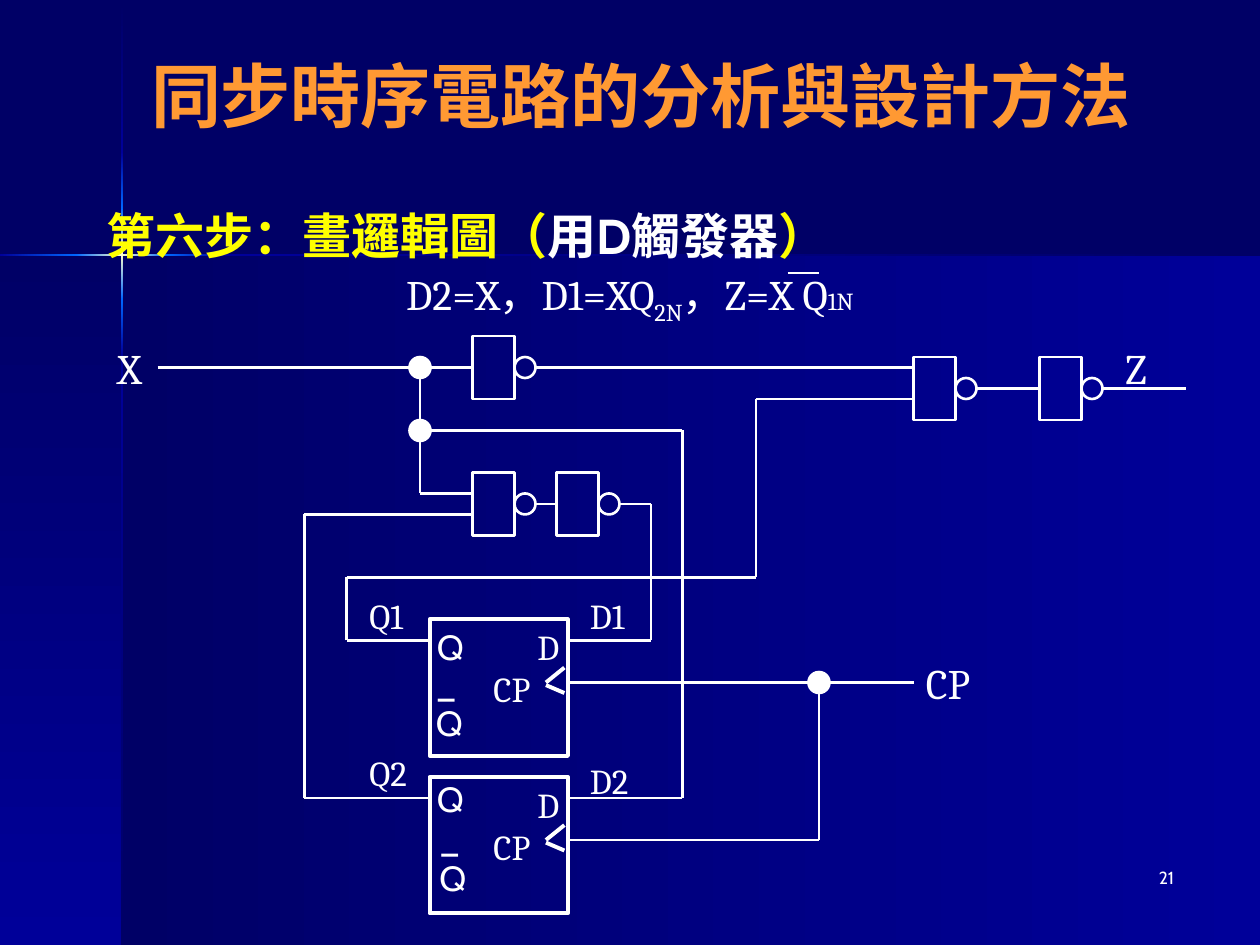
from dataclasses import dataclass
from itertools import pairwise

import pptx
import pptx.dml.color
import pptx.enum.shapes
import pptx.enum.text
import pptx.oxml.ns
import pptx.util
from lxml import etree

Pt = pptx.util.Pt
RGB = pptx.dml.color.RGBColor.from_string
qn = pptx.oxml.ns.qn
Align = pptx.enum.text.PP_ALIGN
Anchor = pptx.enum.text.MSO_ANCHOR
Preset = pptx.enum.shapes.MSO_SHAPE


@dataclass(frozen=True)
class Theme:
    night: str = "000066"
    navy: str = "000099"
    azure: str = "0066FF"
    glow: str = "FFFFCC"
    orange: str = "FF9933"
    yellow: str = "FFFF00"
    white: str = "FFFFFF"
    sans: str = "Cabin"
    serif: str = "Cambria"
    title: int = 40
    heading: int = 28
    formula: int = 24
    label: int = 20
    small: int = 14
    number: int = 10
    wire: float = 1.5
    outline: float = 2.25
    cell: int = 6


THEME = Theme()


def add_text(slide, text, left, top, width, height, *, size, font=THEME.serif,
             color=THEME.white, bold=False, align=Align.LEFT, anchor=Anchor.TOP,
             wrap=True, side_inset=7.2, line_spacing=None):
    """Text is a string, or a list of (string, run overrides); newlines part paragraphs."""
    box = slide.shapes.add_textbox(Pt(left), Pt(top), Pt(width), Pt(height))
    frame = box.text_frame
    frame.word_wrap = wrap
    frame.vertical_anchor = anchor
    frame.margin_left = frame.margin_right = Pt(side_inset)
    pieces = [(text, {})] if isinstance(text, str) else text
    paragraph = frame.paragraphs[0]
    for piece, changes in pieces:
        for number, line in enumerate(piece.split("\n")):
            if number:
                paragraph = frame.add_paragraph()
            paragraph.alignment = align
            if line_spacing:
                paragraph.line_spacing = Pt(line_spacing)
            run = paragraph.add_run()
            run.text = line
            run.font.name = font
            run.font.bold = bold
            run.font.size = Pt(changes.get("size", size))
            run.font.color.rgb = RGB(changes.get("color", color))
            if "baseline" in changes:
                run._r.get_or_add_rPr().set("baseline", str(changes["baseline"] * 1000))


def add_outline(slide, preset, left, top, width, height, weight=THEME.wire, fill=None):
    shape = slide.shapes.add_shape(preset, Pt(left), Pt(top), Pt(width), Pt(height))
    shape.shadow.inherit = False
    if fill:
        shape.fill.solid()
        shape.fill.fore_color.rgb = RGB(fill)
    else:
        shape.fill.background()
    shape.line.color.rgb = RGB(THEME.white)
    shape.line.width = Pt(weight)
    return shape


def add_line(slide, start, end, weight=THEME.wire):
    line = slide.shapes.add_connector(pptx.enum.shapes.MSO_CONNECTOR.STRAIGHT,
                                      *(Pt(value) for value in (*start, *end)))
    line.line.color.rgb = RGB(THEME.white)
    line.line.width = Pt(weight)
    etree.SubElement(line._element.spPr, qn("a:effectLst"))
    return line


def add_gradient(slide, left, top, width, height, colors, downward):
    panel = slide.shapes.add_shape(Preset.RECTANGLE, Pt(left), Pt(top), Pt(width), Pt(height))
    panel.shadow.inherit = False
    panel.line.fill.background()
    panel.fill.gradient()
    panel.fill.gradient_angle = 270 if downward else 0
    stops = panel._element.spPr.find(".//" + qn("a:gsLst"))
    for stop in list(stops):
        stops.remove(stop)
    for number, color in enumerate(colors):
        stop = etree.SubElement(stops, qn("a:gs"), pos=str(100000 * number // (len(colors) - 1)))
        etree.SubElement(stop, qn("a:srgbClr"), val=color)


def draw_backdrop(slide, width, height):
    """Two shaded panels and a glowing cross where they meet."""
    t = THEME
    slide.background.fill.solid()
    slide.background.fill.fore_color.rgb = RGB(t.night)
    cross_x, cross_y, thickness = 69.5, 145.5, 1.5
    shade = (t.night, t.navy)
    add_gradient(slide, cross_x, cross_y, width - cross_x, height - cross_y, shade, False)
    add_gradient(slide, 0, cross_y, cross_x, height - cross_y, shade, True)
    beam = [(t.navy, t.azure), (t.azure, t.glow, t.azure), (t.azure, t.navy), (t.navy, t.night)]
    for (start, end), colors in zip(pairwise((1, 87, 119, 171, 203, height)), [shade, *beam]):
        add_gradient(slide, cross_x - 0.5, start, thickness, end - start, colors, True)
    for (start, end), colors in zip(pairwise((0, 43.5, 95.5, 127.5, width)), beam):
        add_gradient(slide, start, cross_y - 0.5, end - start, thickness, colors, False)


def draw_headings(slide, left, top, width):
    t = THEME
    add_text(slide, "同步時序電路的分析與設計方法", left, top, width, 60, size=t.title,
             font=t.sans, color=t.orange, bold=True, align=Align.CENTER, anchor=Anchor.MIDDLE)
    add_text(slide, [("第六步：畫邏輯圖（", {}), ("用D觸發器", {"color": t.white}), ("）", {})],
             left + 18, top + 90, width - 36, 42, size=t.heading, font=t.sans,
             color=t.yellow, bold=True)


def draw_formula(slide, left, top, width):
    add_text(slide, [("D2=X，D1=XQ", {}), ("2N", {"baseline": -25}), ("，Z=X Q", {}),
                     ("1N", {"size": THEME.small})],
             left, top, width, 36, size=THEME.formula, align=Align.CENTER)
    add_line(slide, (left + 396, top + 6), (left + 414, top + 6))


def draw_gate(slide, left, top):
    """Gate body with the inverting bubble on its output."""
    body = add_outline(slide, Preset.RECTANGLE, left, top, 24, 36)
    add_outline(slide, Preset.OVAL, left + 24, top + 12, 12, 12)
    return body


def draw_flip_flop(slide, left, top, q_top, q_bar):
    """q_bar is the offset of the inverted output's label."""
    t = THEME
    add_outline(slide, Preset.RECTANGLE, left - 0.5, top, 79, 78, t.outline)
    for start, end in (((66, 37.5), (76.5, 42)), ((76.5, 27.5), (66, 36))):
        add_line(slide, (left + start[0], top + start[1]), (left + end[0], top + end[1]), t.outline)
    add_text(slide, "D", left + 54, top, 30, 31, size=t.label)
    add_text(slide, "CP", left + 36, top + 24, 36, 31, size=t.label, side_inset=0)
    add_text(slide, "Q", left - 3.5, top + q_top, 34, 23, size=t.label, font=t.sans,
             line_spacing=15)
    add_text(slide, "—\nQ", left + q_bar[0], top + q_bar[1], 34, 38, size=t.label,
             font=t.sans, line_spacing=15)


def draw_circuit(slide, left, top):
    """Logic diagram laid out in grid cells counted from its top left corner."""
    def at(column, row):
        return left + column * THEME.cell, top + row * THEME.cell

    x_inverter, _, z_inverter, _, d1_inverter = [
        draw_gate(slide, *at(*cell)) for cell in ((35, 0), (77, 2), (89, 2), (35, 13), (43, 13))]
    draw_flip_flop(slide, *at(31, 27), q_top=9, q_bar=(-4, 37.5))
    draw_flip_flop(slide, *at(31, 42), q_top=6, q_bar=(-2, 36))

    for start, end, gate in (((5, 3), (35, 3), x_inverter),
                             ((83, 5), (89, 5), z_inverter),
                             ((41, 16), (43, 16), d1_inverter)):
        add_line(slide, at(*start), at(*end)).end_connect(gate, 1)

    wires = {
        "inverted X": [(41, 3), (77, 3)],
        "Z": [(95, 5), (103, 5)],
        "X": [(30, 3), (30, 15), (35, 15)],
        "D2": [(30, 9), (55, 9), (55, 44), (44, 44)],
        "D1": [(49, 16), (52, 16), (52, 29), (44, 29)],
        "Q1": [(31, 29), (23, 29), (23, 23), (62, 23), (62, 6), (77, 6)],
        "Q2": [(31, 44), (19, 44), (19, 17), (35, 17)],
        "CP": [(77, 33), (44, 33)],
        "CP branch": [(68, 33), (68, 48), (44, 48)],
    }
    for corners in wires.values():
        for start, end in pairwise(corners):
            add_line(slide, at(*start), at(*end))
    for junction in ((30, 3), (30, 9), (68, 33)):
        x, y = at(*junction)
        add_outline(slide, Preset.OVAL, x - 6, y - 6, 12, 12, fill=THEME.white)

    for signal, cell in (("Q1", (24, 24)), ("D1", (45, 24)), ("Q2", (24, 39)), ("D2", (45, 39.75))):
        add_text(slide, signal, *at(*cell), 40, 31, size=THEME.label, wrap=False)
    for terminal, cell in (("X", (0, 0)), ("Z", (96, 0)), ("CP", (77, 30))):
        add_text(slide, terminal, *at(*cell), 66, 36, size=THEME.formula)


def main():
    deck = pptx.Presentation()
    deck.slide_width, deck.slide_height = Pt(720), Pt(540)
    slide = deck.slides.add_slide(deck.slide_layouts[6])
    draw_backdrop(slide, 720, 540)
    draw_headings(slide, 36, 24, 660)
    draw_circuit(slide, 60, 192)
    draw_formula(slide, 54, 150, 612)
    add_text(slide, "21", 528, 492, 150, 36, size=THEME.number, font=THEME.sans,
             align=Align.RIGHT)
    deck.save("out.pptx")


if __name__ == "__main__":
    main()
